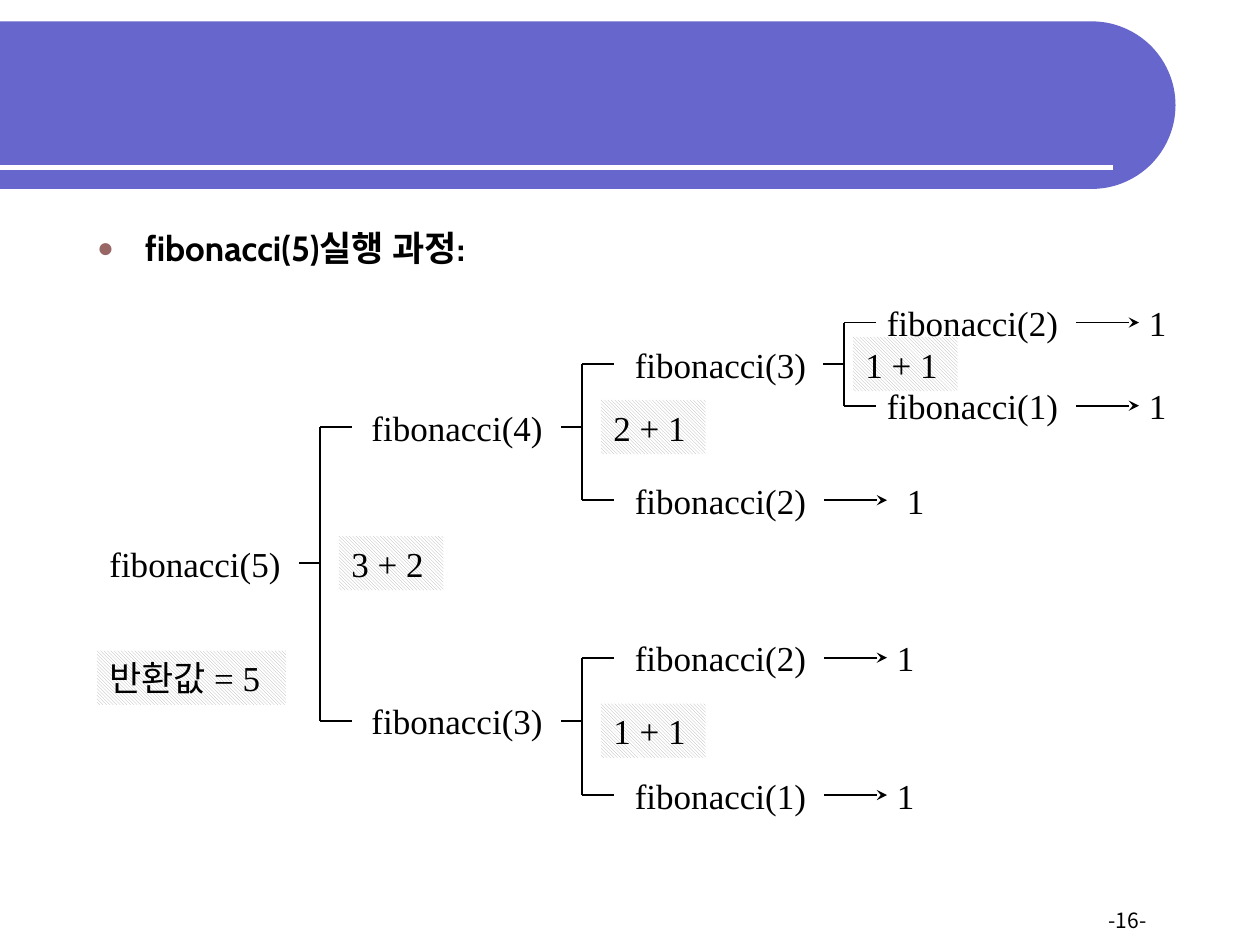
from math import cos, pi, sin

from lxml.etree import SubElement
from pptx import Presentation
from pptx.dml.color import RGBColor
from pptx.enum.dml import MSO_PATTERN
from pptx.enum.shapes import MSO_CONNECTOR, MSO_SHAPE
from pptx.enum.text import MSO_ANCHOR, MSO_AUTO_SIZE, PP_ALIGN
from pptx.oxml.ns import qn
from pptx.util import Inches, Pt

BLACK = RGBColor(0x00, 0x00, 0x00)
WHITE = RGBColor(0xFF, 0xFF, 0xFF)
VIOLET = RGBColor(0x66, 0x66, 0xCC)
GREY = RGBColor(0xB2, 0xB2, 0xB2)
BULLET_COLOR = RGBColor(0x99, 0x66, 0x66)

SERIF = "Times New Roman"
SANS = "Cabin"
KOREAN = "Noto Sans CJK KR"
ROW_HEIGHT = 0.43

# Call tree: trunk x, y of the upper branch, the stem and the lower branch
FORKS = [
    (2.54, 3.39, 4.47, 5.72),
    (4.62, 2.89, 3.39, 3.97),
    (4.62, 5.22, 5.72, 6.31),
    (6.7, 2.56, 2.89, 3.22),
]
# Calls: left, middle y, argument
CALLS = [
    (0.77, 4.47, 5),
    (2.85, 3.39, 4), (2.85, 5.72, 3),
    (4.94, 2.89, 3), (4.94, 3.97, 2), (4.94, 5.22, 2), (4.94, 6.31, 1),
    (6.94, 2.56, 2), (6.94, 3.22, 1),
]
# Hatched sums: left, middle y, width, text
SUMS = [
    (2.69, 4.47, 0.83, "3 + 2"),
    (4.77, 3.39, 0.83, "2 + 1"),
    (4.77, 5.8, 0.83, "1 + 1"),
    (6.77, 2.89, 0.83, "1 + 1"),
    (0.77, 5.38, 1.5, "반환값 = 5"),
]
# Results of the leaf calls: arrow start, y, left of the value
RESULTS = [
    (8.54, 2.56, 9.02), (8.54, 3.22, 9.02),
    (6.54, 3.97, 7.1), (6.54, 5.22, 7.02), (6.54, 6.31, 7.02),
]


class SlideBuilder:
    def __init__(self, page):
        self.page = page
        self.shapes = page.shapes

    def style(self, paragraph, font_name, size, bold=False):
        for span in paragraph.runs:
            span.font.name = font_name
            span.font.size = Pt(size)
            span.font.bold = bold
            span.font.color.rgb = BLACK
            east_asian = SubElement(span.font._element, qn("a:ea"))
            east_asian.set("typeface", KOREAN)

    def fill_text(self, shape, text, font_name=SERIF, size=20):
        frame = shape.text_frame
        frame.text = text
        frame.word_wrap = False
        frame.auto_size = MSO_AUTO_SIZE.SHAPE_TO_FIT_TEXT
        frame.vertical_anchor = MSO_ANCHOR.TOP
        frame.paragraphs[0].alignment = PP_ALIGN.LEFT
        self.style(frame.paragraphs[0], font_name, size)

    def label(self, left, middle, width, text):
        box = self.shapes.add_textbox(Inches(left), Inches(middle - ROW_HEIGHT / 2),
                                      Inches(width), Inches(ROW_HEIGHT))
        self.fill_text(box, text)

    def hatched_box(self, left, middle, width, text):
        box = self.shapes.add_shape(MSO_SHAPE.RECTANGLE, Inches(left),
                                    Inches(middle - ROW_HEIGHT / 2),
                                    Inches(width), Inches(ROW_HEIGHT))
        box.shadow.inherit = False
        box.line.fill.background()
        box.fill.patterned()
        box.fill.pattern = MSO_PATTERN.LIGHT_DOWNWARD_DIAGONAL
        box.fill.fore_color.rgb = GREY
        box.fill.back_color.rgb = WHITE
        self.fill_text(box, text)

    def line(self, x1, y1, x2, y2, color=BLACK, weight=1, arrow=False):
        connector = self.shapes.add_connector(
            MSO_CONNECTOR.STRAIGHT, Inches(x1), Inches(y1), Inches(x2), Inches(y2))
        connector.line.color.rgb = color
        connector.line.width = Pt(weight)
        if arrow:
            outline = connector.line._get_or_add_ln()
            SubElement(outline, qn("a:tailEnd")).set("type", "stealth")
        SubElement(connector._element.spPr, qn("a:effectLst"))

    def fork(self, x, upper, middle, lower):
        self.line(x, upper, x, lower)
        self.line(x, middle, x - 0.17, middle)
        for y in (upper, lower):
            self.line(x, y, x + 0.25, y)

    def banner(self, top, height, right):
        radius = height / 2
        center = right - radius
        steps = 60
        angles = [pi * step / steps - pi / 2 for step in range(steps + 1)]
        arc = [(Inches(center + radius * cos(angle)),
                Inches(top + radius + radius * sin(angle))) for angle in angles]
        builder = self.shapes.build_freeform(0, Inches(top))
        builder.add_line_segments(arc + [(0, Inches(top + height))], close=True)
        shape = builder.convert_to_shape()
        shape.shadow.inherit = False
        shape.fill.solid()
        shape.fill.fore_color.rgb = VIOLET
        shape.line.fill.background()

    def page_number(self, text):
        box = self.shapes.add_textbox(Inches(8.7), Inches(7.15), Inches(0.63), Inches(0.3))
        self.fill_text(box, text, KOREAN, 12)

    def bullet_body(self, text):
        body = self.page.placeholders[1]
        body.left, body.top = Inches(0.67), Inches(1.75)
        body.width, body.height = Inches(8.31), Inches(0.47)
        frame = body.text_frame
        frame.text = text
        frame.auto_size = MSO_AUTO_SIZE.NONE
        frame.vertical_anchor = MSO_ANCHOR.TOP
        para = frame.paragraphs[0]
        properties = para._p.get_or_add_pPr()
        properties.set("marL", str(Inches(0.38)))
        properties.set("indent", str(Inches(-0.38)))
        bullet_color = SubElement(properties, qn("a:buClr"))
        SubElement(bullet_color, qn("a:srgbClr")).set("val", str(BULLET_COLOR))
        SubElement(properties, qn("a:buSzPct")).set("val", "80000")
        SubElement(properties, qn("a:buChar")).set("char", "●")
        para.space_before = Pt(0)
        self.style(para, SANS, 20, bold=True)


def main():
    deck = Presentation()
    deck.slide_width, deck.slide_height = Inches(10), Inches(7.5)
    page = deck.slides.add_slide(deck.slide_layouts[1])
    title = page.shapes.title._element
    title.getparent().remove(title)
    slide = SlideBuilder(page)

    # Banner, page number and heading
    slide.banner(0.17, 1.33, 9.33)
    slide.line(0, 1.33, 8.83, 1.33, WHITE, 3)
    slide.page_number("-16-")
    slide.bullet_body("fibonacci(5)실행 과정:")

    # Call tree
    for left, middle, argument in CALLS:
        slide.label(left, middle, 1.64, f"fibonacci({argument})")
    for fork in FORKS:
        slide.fork(*fork)
    for hatched in SUMS:
        slide.hatched_box(*hatched)

    # Results of the leaf calls
    for start, y, left in RESULTS:
        slide.line(start, y, start + 0.5, y, arrow=True)
        slide.label(left, y, 0.36, "1")

    deck.save("out.pptx")


if __name__ == "__main__":
    main()
